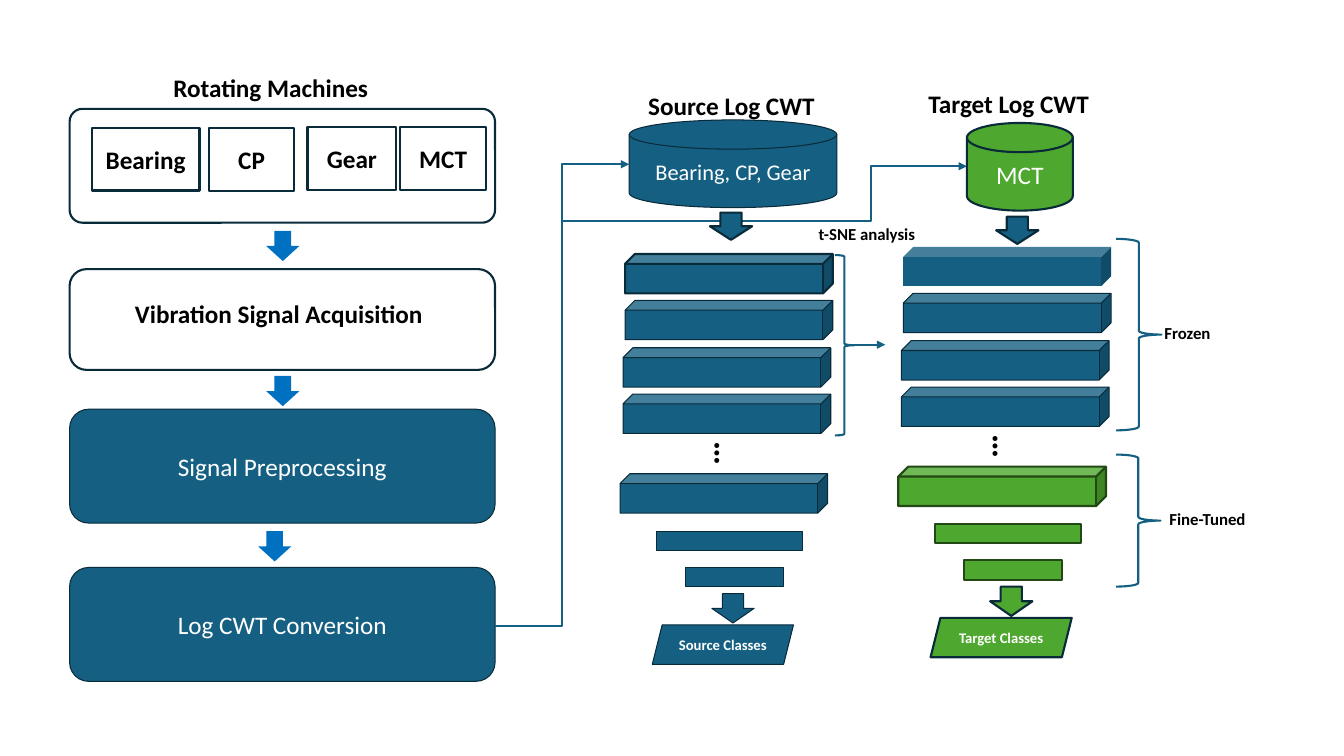
from lxml import etree
from pptx import Presentation
from pptx.dml.color import RGBColor
from pptx.enum import shapes, text
from pptx.oxml.ns import qn
from pptx.util import Inches, Pt

G = shapes.MSO_SHAPE
BLUE, GREEN, ARROW = "156082", "4EA72E", "0070C0"
NAVY, MOSS, BLACK, WHITE = "092A39", "224914", "000000", "FFFFFF"
THICK, THIN = (NAVY, 1.5), (NAVY, 0.75)

LABEL = {"size": 18, "bold": True, "color": BLACK}
PLAIN = {"size": 18, "bold": False, "color": WHITE}
SMALL = {"size": 12, "bold": True, "color": BLACK}
CLASS = {"size": 10.5, "bold": True, "color": WHITE}
DOTS = {"size": 24, "bold": True, "color": BLACK}

MACHINES = [
    ("Bearing", 0.91, 1.27, 1.07, 0.62),
    ("CP", 2.07, 1.27, 0.85, 0.63),
    ("Gear", 3.05, 1.26, 0.88, 0.63),
    ("MCT", 3.97, 1.26, 0.85, 0.63),
]
STEPS = [
    ("", 1.08, 1.13, None, THICK, 0.113),
    ("", 2.67, 1.0, None, THICK, 0.167),
    ("Signal Preprocessing", 4.06, 1.13, BLUE, THIN, 0.167),
    ("Log CWT Conversion", 5.63, 1.13, BLUE, THIN, 0.167),
]
STEP_ARROWS = [(2.64, 2.29), (2.64, 3.73), (2.56, 5.27)]
CAPTIONS = [
    ("Rotating Machines", 1.62, 0.67, 2.51, 0.4, True, LABEL),
    ("Vibration Signal Acquisition", 1.24, 2.91, 3.08, 0.4, False, LABEL),
    ("Source Log CWT", 6.33, 0.85, 1.87, 0.4, False, LABEL),
    ("Target Log CWT", 9.11, 0.83, 2.06, 0.4, True, LABEL),
    ("t-SNE analysis", 8.02, 2.17, 1.49, 0.3, True, SMALL),
    ("Frozen", 11.45, 3.15, 0.9, 0.3, True, SMALL),
    ("Fine-Tuned", 11.5, 5.0, 1.14, 0.3, True, SMALL),
]
DATA = [
    ("Bearing, CP, Gear", (6.24, 1.19, 2.06, 0.87), BLUE, THIN, 16),
    ("MCT", (9.59, 1.22, 1.05, 0.87), GREEN, THICK, 18),
]
DATA_ARROWS = [(7.04, 2.11), (9.88, 2.15)]
LAYERS = [(6.2, 2.52), (6.2, 2.98), (6.18, 3.45), (6.18, 3.91), (6.15, 4.7)]
BARS = [(6.51, 5.27, 1.45), (6.8, 5.63, 0.97)]
COLUMN_STEP = (2.76, -0.07)
COLUMNS = [
    {"classes": "Source Classes", "head": BLUE, "first": THICK, "line": THIN, "end": THIN},
    {"classes": "Target Classes", "head": GREEN, "first": None, "line": (MOSS, 1.5), "end": THICK},
]
BRACES = [(8.28, 2.53, 0.19, 1.79), (11.07, 2.37, 0.45, 1.9), (11.07, 4.51, 0.44, 1.31)]
LINKS = [
    ("ELBOW", (4.91, 6.21), (6.24, 1.63), 0.5),
    ("ELBOW", (5.57, 2.19), (9.59, 1.65), 0.764),
    ("STRAIGHT", (8.47, 3.42), (8.78, 3.42), None),
]


def rgb(value):
    return RGBColor.from_string(value)


def write(sp, words, style, centred=True):
    tf = sp.text_frame
    p = tf.paragraphs[0]
    if centred:
        tf.vertical_anchor = text.MSO_ANCHOR.MIDDLE
        p.alignment = text.PP_ALIGN.CENTER
    r = p.add_run()
    r.text = words
    for key, value in {"name": "Calibri", "size": Pt(style["size"]), "bold": style["bold"]}.items():
        setattr(r.font, key, value)
    r.font.color.rgb = rgb(style["color"])


def add(kind, box, fill=None, line=None, words="", style=PLAIN):
    sp = s.shapes.add_shape(kind, *map(Inches, box))
    sp.shadow.inherit = False
    if fill:
        sp.fill.solid()
        sp.fill.fore_color.rgb = rgb(fill)
    else:
        sp.fill.background()
    if line:
        sp.line.color.rgb = rgb(line[0])
        sp.line.width = Pt(line[1])
    else:
        sp.line.fill.background()
    if words:
        write(sp, words, style)
    return sp


def caption(words, box, wrap, style):
    sp = s.shapes.add_textbox(*map(Inches, box))
    sp.text_frame.word_wrap = wrap
    write(sp, words, style, centred=False)
    return sp


def link(kind, start, end, bend):
    c = s.shapes.add_connector(getattr(shapes.MSO_CONNECTOR, kind), *map(Inches, start + end))
    c.line.color.rgb = rgb(BLUE)
    c.line.width = Pt(1.5)
    pr = c._element.spPr
    etree.SubElement(pr.find(qn("a:ln")), qn("a:tailEnd"), type="triangle")
    etree.SubElement(pr, qn("a:effectLst"))
    if bend:
        guides = pr.find(qn("a:prstGeom")).find(qn("a:avLst"))
        etree.SubElement(guides, qn("a:gd"), name="adj1", fmla=f"val {round(bend * 100000)}")


def column(index, classes, head, first, line, end):
    dx, dy = (index * step for step in COLUMN_STEP)
    last = len(LAYERS) - 1
    for i, (x, y) in enumerate(LAYERS):
        fill = head if i == last else BLUE
        border = first if i == 0 else line if i == last else THIN
        add(G.CUBE, (x + dx, y + dy, 2.06, 0.39), fill, border)
    caption("…", (6.99 + dx, 4.26 + dy, 0.46, 0.5), True, DOTS).rotation = 90
    for x, y, w in BARS:
        add(G.RECTANGLE, (x + dx, y + dy, w, 0.19), head, line)
    add(G.PARALLELOGRAM, (6.47 + dx, 6.2 + dy, 1.4, 0.39), head, end, classes, CLASS)
    add(G.DOWN_ARROW, (7.06 + dx, 5.89 + dy, 0.42, 0.29), head, end)


prs = Presentation()
prs.slide_width, prs.slide_height = Inches(13.33), Inches(7.5)
s = prs.slides.add_slide(prs.slide_layouts[6])

for words, y, h, fill, line, corner in STEPS:
    add(G.ROUNDED_RECTANGLE, (0.69, y, 4.22, h), fill, line, words).adjustments[0] = corner
for words, *box in MACHINES:
    add(G.RECTANGLE, box, None, THICK, words, LABEL)
for x, y in STEP_ARROWS:
    add(G.DOWN_ARROW, (x, y, 0.33, 0.3), ARROW)
for item in LINKS:
    link(*item)
for words, box, fill, line, size in DATA:
    add(G.FLOWCHART_MAGNETIC_DISK, box, fill, line, words, {**PLAIN, "size": size})
for i, settings in enumerate(COLUMNS):
    column(i, **settings)
for x, y in DATA_ARROWS:
    add(G.DOWN_ARROW, (x, y, 0.42, 0.27), BLUE, THICK)
for box in BRACES:
    add(G.RIGHT_BRACE, box, None, (BLUE, 1.5))
for words, x, y, w, h, wrap, style in CAPTIONS:
    caption(words, (x, y, w, h), wrap, style)

prs.save("out.pptx")
